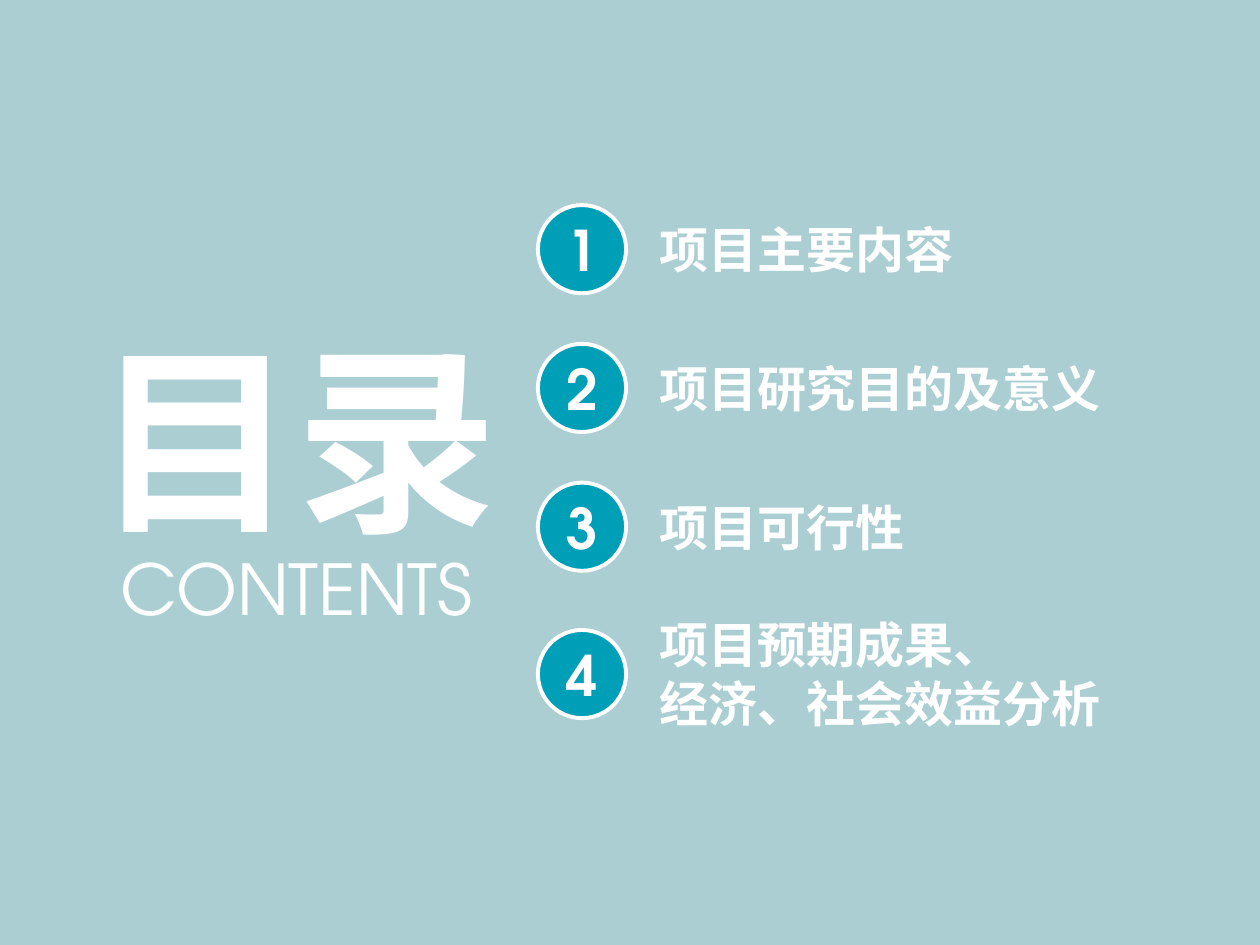
"""Build a contents slide with a large title and four numbered entries."""
import dataclasses

import pptx
import pptx.dml.color
import pptx.enum.shapes
import pptx.enum.text
import pptx.oxml.ns
import pptx.slide
import pptx.text.text
import pptx.util
from lxml import etree

Pt = pptx.util.Pt
Align = pptx.enum.text.PP_ALIGN
Anchor = pptx.enum.text.MSO_ANCHOR

COLORS = {"background": "AACED2", "badge": "009FB8", "white": "FFFFFF"}
LATIN_FONT = "TeX Gyre Adventor"
CHINESE_FONT = "Noto Sans CJK SC"
BADGE_LEFT = 307.4
BADGE_SIZE = 50.4
LABEL_LEFT = 370


@dataclasses.dataclass
class Entry:
    number: int
    text: str
    top: float
    width: float
    height: float = 41


ENTRIES = [
    Entry(1, "项目主要内容", 117.2, 184.3),
    Entry(2, "项目研究目的及意义", 196.5, 269.3),
    Entry(3, "项目可行性", 275.8, 156.2),
    Entry(4, "项目预期成果、\n经济、社会效益分析", 360, 269.3, 75),
]


def color(name: str) -> pptx.dml.color.RGBColor:
    return pptx.dml.color.RGBColor.from_string(COLORS[name])


def write_text(frame: pptx.text.text.TextFrame, text: str, *, size: float, font: str,
               bold: bool = False, align: Align = Align.LEFT,
               anchor: Anchor = Anchor.TOP) -> None:
    frame.text = text
    frame.word_wrap = False
    frame.auto_size = pptx.enum.text.MSO_AUTO_SIZE.NONE
    frame.vertical_anchor = anchor
    for paragraph in frame.paragraphs:
        paragraph.alignment = align
        run_font = paragraph.runs[0].font
        run_font.size = Pt(size)
        run_font.bold = bold
        run_font.color.rgb = color("white")
        run_font.name = font
        properties = paragraph.runs[0]._r.get_or_add_rPr()
        east_asian = etree.SubElement(properties, pptx.oxml.ns.qn("a:ea"))
        east_asian.set("typeface", CHINESE_FONT)


def draw_heading(slide: pptx.slide.Slide) -> None:
    title = slide.shapes.title
    title.left, title.top, title.width, title.height = Pt(46), Pt(176.4), Pt(247), Pt(147)
    write_text(title.text_frame, "目录", size=115, font=CHINESE_FONT, bold=True,
               align=Align.CENTER)
    subtitle = slide.shapes.add_textbox(Pt(60.5), Pt(308.2), Pt(218), Pt(55.4))
    write_text(subtitle.text_frame, "CONTENTS", size=40, font=LATIN_FONT, align=Align.CENTER)


def draw_entry(slide: pptx.slide.Slide, entry: Entry) -> None:
    label_top = entry.top + (BADGE_SIZE - entry.height) / 2
    label = slide.shapes.add_textbox(Pt(LABEL_LEFT), Pt(label_top), Pt(entry.width),
                                     Pt(entry.height))
    write_text(label.text_frame, entry.text, size=28, font="Calibri", bold=True)
    badge = slide.shapes.add_shape(pptx.enum.shapes.MSO_SHAPE.OVAL, Pt(BADGE_LEFT),
                                   Pt(entry.top), Pt(BADGE_SIZE), Pt(BADGE_SIZE))
    badge.shadow.inherit = False
    badge.fill.solid()
    badge.fill.fore_color.rgb = color("badge")
    badge.line.color.rgb = color("white")
    badge.line.width = Pt(2.25)
    write_text(badge.text_frame, str(entry.number), size=32, font=LATIN_FONT, bold=True,
               align=Align.CENTER, anchor=Anchor.MIDDLE)


def main() -> None:
    presentation = pptx.Presentation()
    presentation.slide_width, presentation.slide_height = Pt(720), Pt(540)
    slide = presentation.slides.add_slide(presentation.slide_layouts.get_by_name("Title Only"))
    slide.background.fill.solid()
    slide.background.fill.fore_color.rgb = color("background")
    draw_heading(slide)
    for entry in ENTRIES:
        draw_entry(slide, entry)
    presentation.save("out.pptx")


if __name__ == "__main__":
    main()
